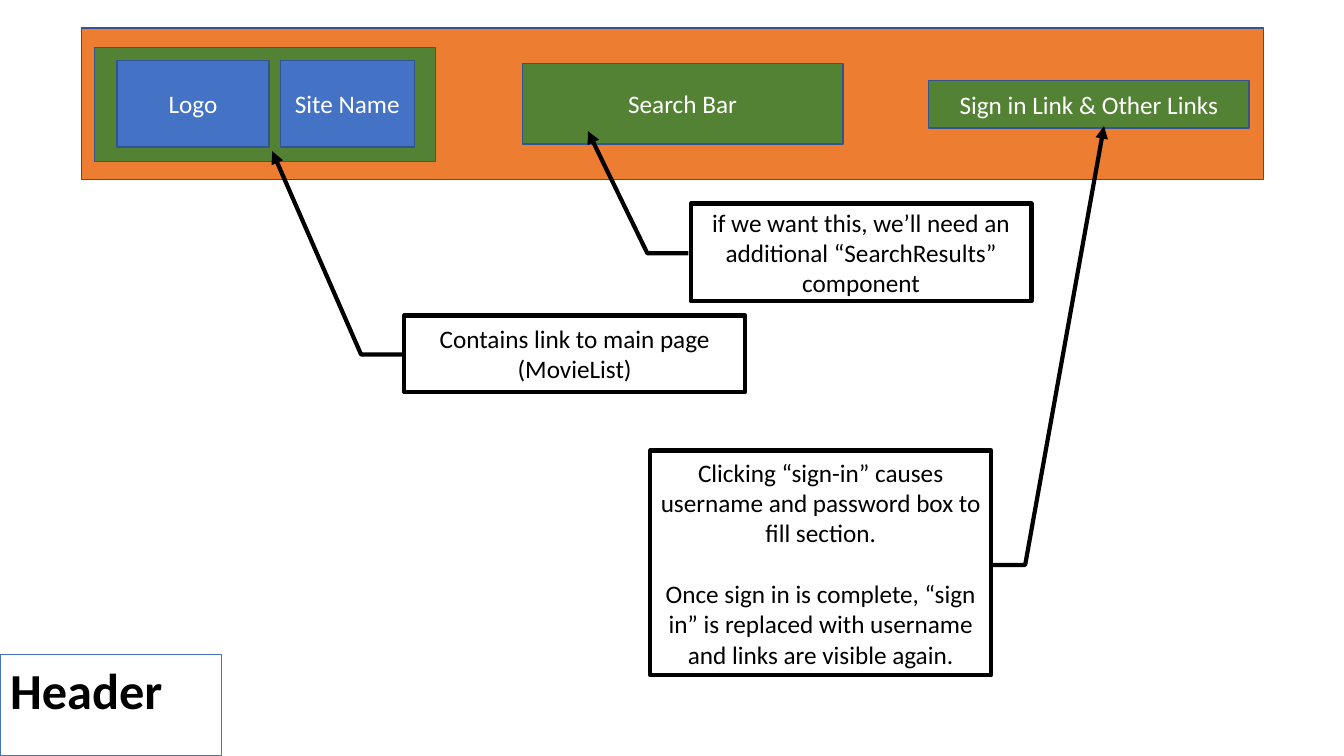
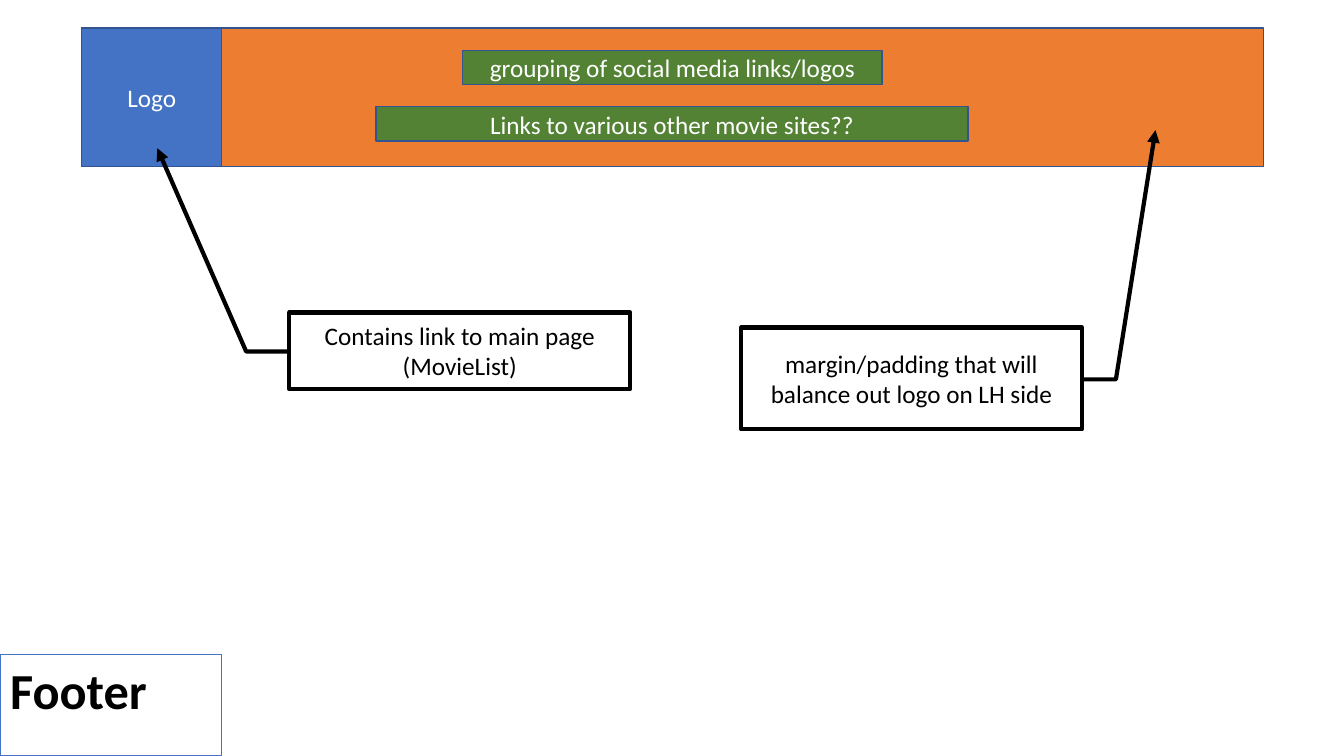
"""Build two annotated wireframe slides for the header and footer of a movie site."""

from dataclasses import dataclass

import lxml.etree
import pptx
import pptx.dml.color
import pptx.enum.shapes
import pptx.enum.text
import pptx.oxml.ns
import pptx.presentation
import pptx.shapes.autoshape
import pptx.shapes.shapetree
import pptx.slide
import pptx.text.text
import pptx.util

Inches = pptx.util.Inches
RGBColor = pptx.dml.color.RGBColor
PP_ALIGN = pptx.enum.text.PP_ALIGN
MSO_ANCHOR = pptx.enum.text.MSO_ANCHOR
MSO_SHAPE = pptx.enum.shapes.MSO_SHAPE

ORANGE = RGBColor(0xED, 0x7D, 0x31)
GREEN = RGBColor(0x54, 0x82, 0x35)
BLUE = RGBColor(0x44, 0x72, 0xC4)
OUTLINE = RGBColor(0x32, 0x54, 0x91)
BLACK = RGBColor(0x00, 0x00, 0x00)
WHITE = RGBColor(0xFF, 0xFF, 0xFF)

FONT = "Calibri"
TITLE_ONLY = 5
NOTE_WIDTH = 3.38
LINE_GAP = 22
ELBOWS = {"left": (-0.007, -0.127), "right": (0.999, 1.1)}


@dataclass(frozen=True)
class Block:
    left: float
    top: float
    width: float
    height: float
    color: RGBColor
    text: str = ""


@dataclass(frozen=True)
class Note:
    left: float
    top: float
    height: float
    side: str
    tip_x: float
    tip_y: float
    paragraphs: tuple[str, ...]


@dataclass(frozen=True)
class Page:
    title: str
    blocks: tuple[Block, ...]
    notes: tuple[Note, ...]
    grouped: bool = False


MAIN_PAGE_LINK = ("Contains link to main page (MovieList)",)

PAGES = (
    Page(
        "Header",
        (
            Block(0.81, 0.28, 11.72, 1.5, ORANGE),
            Block(0.94, 0.47, 3.38, 1.13, GREEN),
            Block(1.16, 0.6, 1.51, 0.86, BLUE, "Logo"),
            Block(2.78, 0.6, 1.33, 0.86, BLUE, "Site Name"),
            Block(9.21, 0.8, 3.18, 0.47, GREEN, "Sign in Link & Other Links"),
            Block(5.18, 0.63, 3.18, 0.8, GREEN, "Search Bar"),
        ),
        (
            Note(4.01, 3.13, 0.76, "left", 2.7, 1.5, MAIN_PAGE_LINK),
            Note(6.45, 4.47, 2.23, "right", 10.95, 1.25, (
                "Clicking “sign-in” causes username and password box to fill section.",
                "Once sign in is complete, “sign in” is replaced with username "
                "and links are visible again.",
            )),
            Note(6.85, 2.02, 0.97, "left", 5.83, 1.3, (
                "if we want this, we’ll need an additional “SearchResults” component",
            )),
        ),
        grouped=True,
    ),
    Page(
        "Footer",
        (
            Block(0.81, 0.28, 11.72, 1.37, ORANGE),
            Block(0.81, 0.28, 1.39, 1.37, BLUE, "Logo"),
            Block(3.73, 1.06, 5.87, 0.34, GREEN, "Links to various other movie sites??"),
            Block(4.59, 0.5, 4.16, 0.34, GREEN, "grouping of social media links/logos"),
        ),
        (
            Note(2.87, 3.1, 0.76, "left", 1.56, 1.47, MAIN_PAGE_LINK),
            Note(7.35, 3.25, 1.01, "right", 11.46, 1.29, (
                "margin/padding that will balance out logo on LH side",
            )),
        ),
    ),
)


def write_text(
    frame: pptx.text.text.TextFrame,
    *paragraphs: str,
    size: float = 18,
    color: RGBColor = WHITE,
    bold: bool = False,
    align: PP_ALIGN = PP_ALIGN.CENTER,
    anchor: MSO_ANCHOR = MSO_ANCHOR.MIDDLE,
) -> None:
    """Fill a text frame with equally formatted paragraphs."""
    frame.word_wrap = True
    frame.auto_size = pptx.enum.text.MSO_AUTO_SIZE.NONE
    frame.vertical_anchor = anchor
    for index, text in enumerate(paragraphs):
        paragraph = frame.add_paragraph() if index else frame.paragraphs[0]
        paragraph.alignment = align
        if index:
            paragraph.space_before = pptx.util.Pt(LINE_GAP)
        run = paragraph.add_run()
        run.text = text
        run.font.name = FONT
        run.font.size = pptx.util.Pt(size)
        run.font.bold = bold
        run.font.color.rgb = color


def add_box(
    shapes: pptx.shapes.shapetree.SlideShapes | pptx.shapes.shapetree.GroupShapes,
    kind: MSO_SHAPE,
    bounds: tuple[float, float, float, float],
    fill: RGBColor,
    line: RGBColor,
    line_width: float,
) -> pptx.shapes.autoshape.Shape:
    """Add a flat, outlined preset shape."""
    shape = shapes.add_shape(kind, *map(Inches, bounds))
    shape.shadow.inherit = False
    shape.fill.solid()
    shape.fill.fore_color.rgb = fill
    shape.line.color.rgb = line
    shape.line.width = pptx.util.Pt(line_width)
    return shape


def add_block(
    shapes: pptx.shapes.shapetree.SlideShapes | pptx.shapes.shapetree.GroupShapes,
    block: Block,
) -> None:
    """Add one coloured wireframe block."""
    bounds = (block.left, block.top, block.width, block.height)
    shape = add_box(shapes, MSO_SHAPE.RECTANGLE, bounds, block.color, OUTLINE, 1)
    if block.text:
        write_text(shape.text_frame, block.text)


def add_note(shapes: pptx.shapes.shapetree.SlideShapes, note: Note) -> None:
    """Add a callout whose arrow ends at the tip of the note."""
    bounds = (note.left, note.top, NOTE_WIDTH, note.height)
    shape = add_box(shapes, MSO_SHAPE.LINE_CALLOUT_2, bounds, WHITE, BLACK, 3)
    start, elbow = ELBOWS[note.side]
    tip_y = (note.tip_y - note.top) / note.height
    tip_x = (note.tip_x - note.left) / NOTE_WIDTH
    for index, value in enumerate((0.509, start, 0.509, elbow, tip_y, tip_x)):
        shape.adjustments[index] = value
    outline = shape.element.spPr.find(pptx.oxml.ns.qn("a:ln"))
    lxml.etree.SubElement(outline, pptx.oxml.ns.qn("a:tailEnd"), type="triangle")
    write_text(shape.text_frame, *note.paragraphs, color=BLACK)


def add_title(slide: pptx.slide.Slide, text: str) -> None:
    """Place the title in its outlined box in the lower left corner."""
    title = slide.shapes.title
    title.left, title.top, title.width, title.height = map(Inches, (0, 6.49, 2.2, 1.01))
    title.line.color.rgb = BLUE
    title.line.width = pptx.util.Pt(0.75)
    write_text(
        title.text_frame, text, size=36, color=BLACK, bold=True,
        align=PP_ALIGN.LEFT, anchor=MSO_ANCHOR.TOP,
    )


def add_page(presentation: pptx.presentation.Presentation, page: Page) -> None:
    """Add one slide with its blocks, notes and title."""
    slide = presentation.slides.add_slide(presentation.slide_layouts[TITLE_ONLY])
    shapes = slide.shapes.add_group_shape().shapes if page.grouped else slide.shapes
    for block in page.blocks:
        add_block(shapes, block)
    for note in page.notes:
        add_note(slide.shapes, note)
    add_title(slide, page.title)


def main() -> None:
    """Build and save the presentation."""
    presentation = pptx.Presentation()
    presentation.slide_width = Inches(13.33)
    presentation.slide_height = Inches(7.5)
    for page in PAGES:
        add_page(presentation, page)
    presentation.save("out.pptx")


if __name__ == "__main__":
    main()
